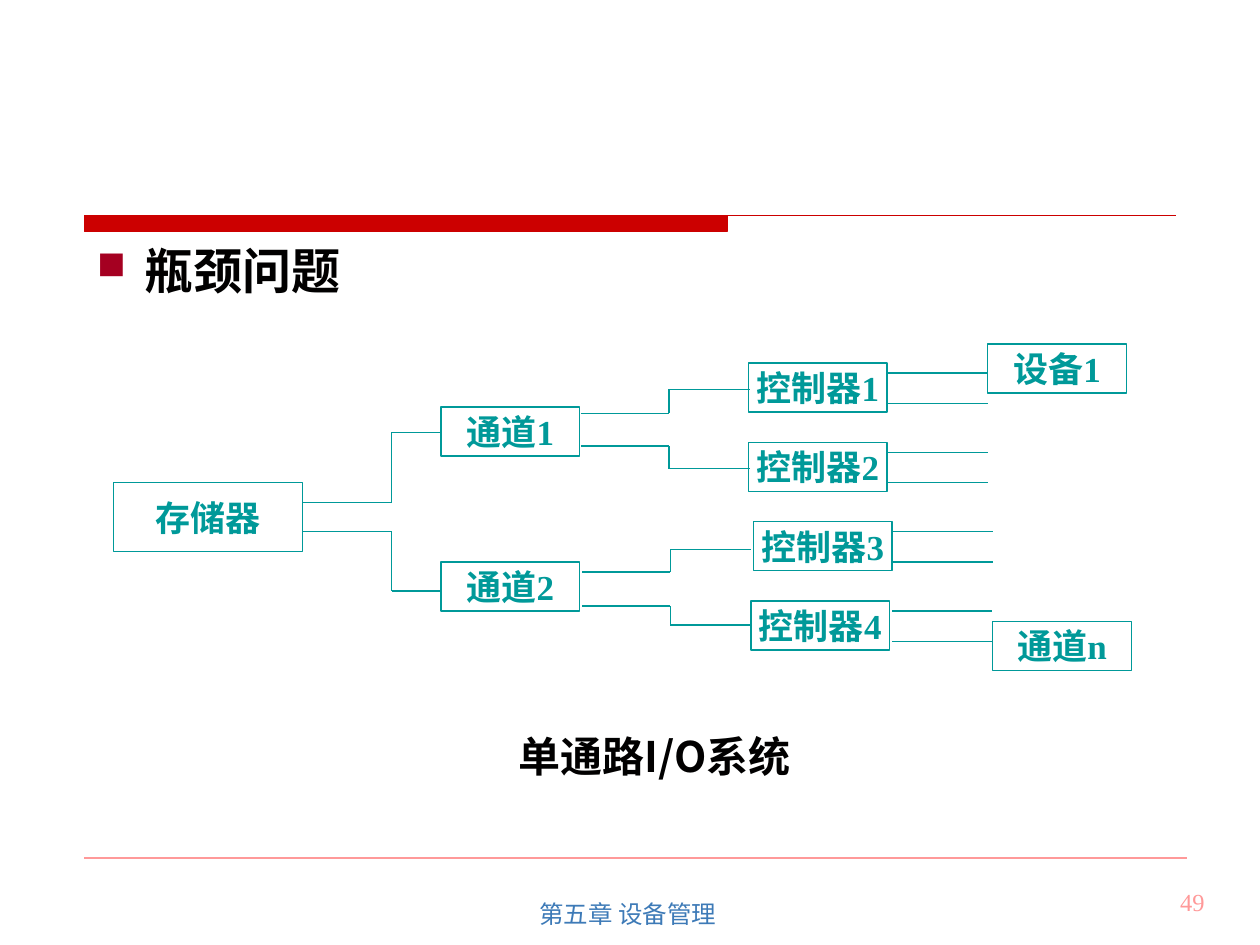
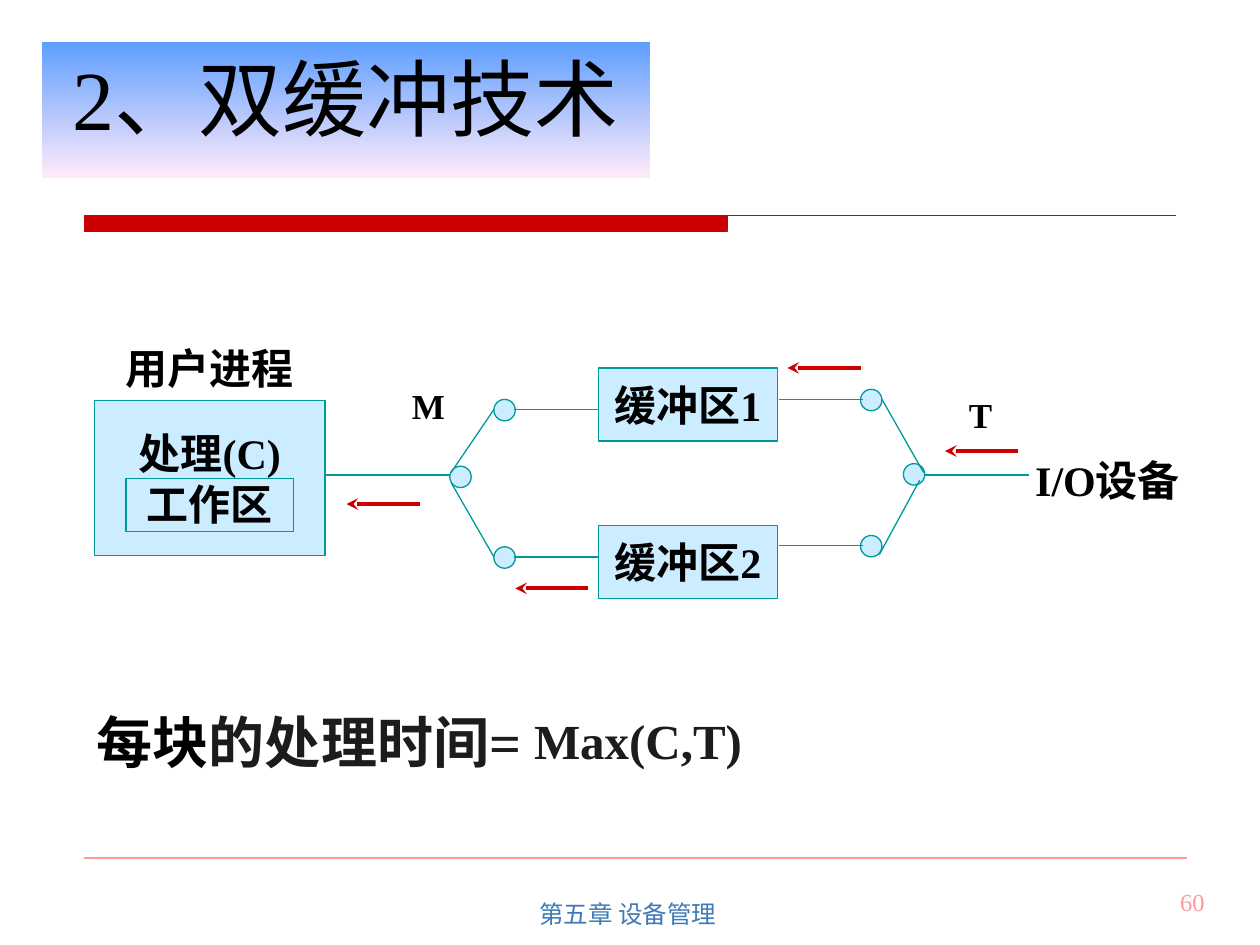
from lxml import etree
from pptx import Presentation
from pptx import util as u
from pptx.dml.color import RGBColor
from pptx.enum import shapes, text
from pptx.oxml import ns

RED = RGBColor(0xCC, 0x00, 0x00)
PINK = RGBColor(0xFF, 0x99, 0x99)
TEAL = RGBColor(0x00, 0x99, 0x99)
PALE_BLUE = RGBColor(0xCC, 0xEC, 0xFF)
BLACK = RGBColor(0x01, 0x00, 0x00)
CHARCOAL = RGBColor(0x1C, 0x1C, 0x1C)
FOOTER_BLUE = RGBColor(0x3D, 0x7A, 0xB7)
TITLE_TOP = RGBColor(0x5E, 0x9E, 0xFF)
TITLE_BOTTOM = RGBColor(0xFF, 0xEB, 0xFA)

SERIF = "Times New Roman"
CJK = "Noto Sans CJK SC"
CENTER = text.PP_ALIGN.CENTER
LEFT = text.PP_ALIGN.LEFT
RIGHT = text.PP_ALIGN.RIGHT
MIDDLE = text.MSO_ANCHOR.MIDDLE
TOP = text.MSO_ANCHOR.TOP
RECT = shapes.MSO_SHAPE.RECTANGLE
NODE = (1.1, 0.39)
BUFFER = (1.42, 0.58)
DOT = 0.17


def add_xml(parent, tag, **attributes):
    return etree.SubElement(parent, ns.qn(tag), **attributes)


def inches(*lengths):
    return [u.Inches(length) for length in lengths]


def write(target, paragraphs, size, color=BLACK, bold=True, font=SERIF,
          align=CENTER, anchor=MIDDLE, wrap=False, before=None):
    frame = target.text_frame
    frame.word_wrap = wrap
    frame.vertical_anchor = anchor
    for index, runs in enumerate(paragraphs):
        paragraph = frame.add_paragraph() if index else frame.paragraphs[0]
        paragraph.alignment = align
        if before:
            paragraph.space_before = u.Pt(before)
        for words, run_color in runs:
            run = paragraph.add_run()
            run.text = words
            run.font.size = u.Pt(size)
            run.font.bold = bold
            run.font.name = font
            run.font.color.rgb = run_color or color
            add_xml(run.font._element, "a:ea", typeface=CJK)
    return frame


def add_label(slide, box, words, size, **style):
    label = slide.shapes.add_textbox(*inches(*box))
    return write(label, [[(words, None)]], size, **style)


def add_block(slide, box, fill=None, line=TEAL, kind=RECT):
    block = slide.shapes.add_shape(kind, *inches(*box))
    block.shadow.inherit = False
    if fill is None:
        block.fill.background()
    else:
        block.fill.solid()
        block.fill.fore_color.rgb = fill
    if line is None:
        block.line.fill.background()
    else:
        block.line.color.rgb = line
        block.line.width = u.Pt(0.75)
    return block


def add_line(slide, start, end, color=TEAL, width=0.75, arrow=False):
    line = slide.shapes.add_connector(
        shapes.MSO_CONNECTOR.STRAIGHT, *inches(*start, *end))
    line.line.color.rgb = color
    line.line.width = u.Pt(width)
    if arrow:
        add_xml(line.line._get_or_add_ln(), "a:tailEnd", type="stealth")
    add_xml(line._element.spPr, "a:effectLst")


def add_frame(deck, number):
    slide = deck.slides.add_slide(deck.slide_layouts[6])
    add_line(slide, (0.67, 6.81), (9.42, 6.81), PINK)
    add_label(slide, (7.58, 6.99, 2.08, 0.5), number, 14, color=PINK,
              bold=False, align=RIGHT, anchor=TOP, wrap=True)
    add_line(slide, (0.67, 1.71), (9.33, 1.71), RED)
    add_block(slide, (0.67, 1.71, 5.1, 0.13), RED, RED)
    add_label(slide, (3.42, 7, 3.17, 0.5), "第五章 设备管理 ", 14,
              color=FOOTER_BLUE, bold=False, font="Arial", wrap=True)
    return slide


def add_title(slide, words):
    banner = add_block(slide, (0.33, 0.33, 4.83, 1.08), line=None)
    banner.fill.gradient()
    banner.fill.gradient_angle = 270
    for stop, color in zip(banner.fill.gradient_stops, (TITLE_TOP, TITLE_BOTTOM)):
        stop.color.rgb = color
    frame = write(banner, [[(words, None)]], 48, bold=False, wrap=True)
    frame.paragraphs[0].line_spacing = 0.7


def add_bullet(slide, words):
    frame = add_label(slide, (0.67, 1.86, 2.17, 0.57), words, 28,
                      align=LEFT, anchor=TOP, wrap=True, before=7)
    frame.margin_right = u.Inches(0.02)
    properties = frame.paragraphs[0]._p.get_or_add_pPr()
    properties.set("marL", str(u.Inches(0.38)))
    properties.set("indent", str(-u.Inches(0.38)))
    add_xml(add_xml(properties, "a:buClr"), "a:srgbClr", val="A50021")
    add_xml(properties, "a:buSzPct", val="80000")
    add_xml(properties, "a:buChar", char="■")


def add_node(slide, left, top, words, size=NODE):
    write(add_block(slide, (left, top, *size)), [[(words, None)]], 20, color=TEAL)


def add_branch(slide, start, turn, end):
    corners = [start, (turn, start[1]), (turn, end[1]), end]
    for here, there in zip(corners, corners[1:]):
        add_line(slide, here, there)


def add_dot(slide, x, y):
    add_block(slide, (x, y, DOT, DOT), PALE_BLUE, kind=shapes.MSO_SHAPE.OVAL)


def build_bottleneck(deck):
    slide = add_frame(deck, "49")
    add_bullet(slide, "瓶颈问题")

    add_node(slide, 0.9, 3.83, "存储器", (1.5, 0.55))
    for exit_y, channel_y in ((3.99, 3.43), (4.22, 4.69)):
        add_branch(slide, (2.4, exit_y), 3.11, (3.5, channel_y))

    channels = (
        ("通道1", 3.23, 4.61, ((3.28, 3.09), (3.54, 3.72))),
        ("通道2", 4.46, 4.62, ((4.54, 4.36), (4.81, 4.96))),
    )
    for name, top, exit_x, routes in channels:
        add_node(slide, 3.5, top, name)
        for exit_y, controller_y in routes:
            add_branch(slide, (exit_x, exit_y), exit_x + 0.7,
                       (exit_x + 1.34, controller_y))

    controllers = ((5.94, 7.05), (5.94, 7.05), (5.98, 7.09), (5.96, 7.08))
    for index, (left, exit_x) in enumerate(controllers):
        top = 2.88 + 0.63 * index
        add_node(slide, left, top, f"控制器{index + 1}")
        for drop in (0.08, 0.32):
            add_line(slide, (exit_x, top + drop), (exit_x + 0.79, top + drop))

    add_node(slide, 7.84, 2.73, "设备1")
    add_node(slide, 7.88, 4.93, "通道n")
    add_label(slide, (3.58, 5.72, 3.23, 0.55), "单通路I/O系统", 24, font=CJK)


def build_double_buffer(deck):
    slide = add_frame(deck, "60")
    add_title(slide, "2、双缓冲技术")

    process = add_block(slide, (0.75, 3.18, 1.83, 1.23), PALE_BLUE)
    write(process, [[("处理(C)", None)], [("工作区", None)]], 24)
    add_block(slide, (1, 3.8, 1.33, 0.42))
    add_label(slide, (0.83, 2.67, 1.67, 0.5), "用户进程", 24,
              anchor=TOP, wrap=True, before=15)
    add_label(slide, (8.08, 3.52, *BUFFER), "I/O设备", 24)

    add_line(slide, (8.17, 3.77), (7.33, 3.77), width=1.5)
    add_line(slide, (3.67, 3.77), (2.58, 3.77), width=1.5)

    for name, top in (("缓冲区1", 2.92), ("缓冲区2", 4.17)):
        write(add_block(slide, (4.75, top, *BUFFER), PALE_BLUE),
              [[(name, None)]], 24)

    add_dot(slide, 3.57, 3.7)
    add_dot(slide, 7.17, 3.68)
    for output_y, input_y in ((3.25, 3.17), (4.42, 4.33)):
        add_dot(slide, 3.92, output_y - 0.08)
        add_line(slide, (4.08, output_y), (4.75, output_y))
        add_dot(slide, 6.83, input_y - 0.08)
        add_line(slide, (6.18, input_y), (6.85, input_y))

    switches = (
        ((3.92, 3.25), (3.58, 3.75)),
        ((3.58, 3.83), (3.92, 4.42)),
        ((7, 3.17), (7.33, 3.75)),
        ((7.3, 3.81), (6.98, 4.4)),
    )
    for start, end in switches:
        add_line(slide, start, end)

    for x, y in ((8.08, 3.58), (6.83, 2.92), (4.67, 4.67), (3.33, 4)):
        add_line(slide, (x, y), (x - 0.58, y), RED, 2.25, arrow=True)

    add_label(slide, (7.59, 3.07, 0.38, 0.44), "T", 20, anchor=TOP)
    add_label(slide, (3.17, 3, 0.46, 0.44), "M", 20, anchor=TOP, wrap=True)

    block_time = slide.shapes.add_textbox(*inches(0.67, 5.57, 3.75, 0.64))
    write(block_time, [[("每块", BLACK), ("的处理时间=", CHARCOAL)]], 32,
          align=LEFT, anchor=TOP, wrap=True, before=20)
    add_label(slide, (4.14, 5.59, 4.85, 0.57), "Max(C,T)", 28,
              color=CHARCOAL, align=LEFT, anchor=TOP, wrap=True)


def main():
    deck = Presentation()
    deck.slide_width, deck.slide_height = inches(10, 7.5)
    build_bottleneck(deck)
    build_double_buffer(deck)
    deck.save("out.pptx")


if __name__ == "__main__":
    main()
